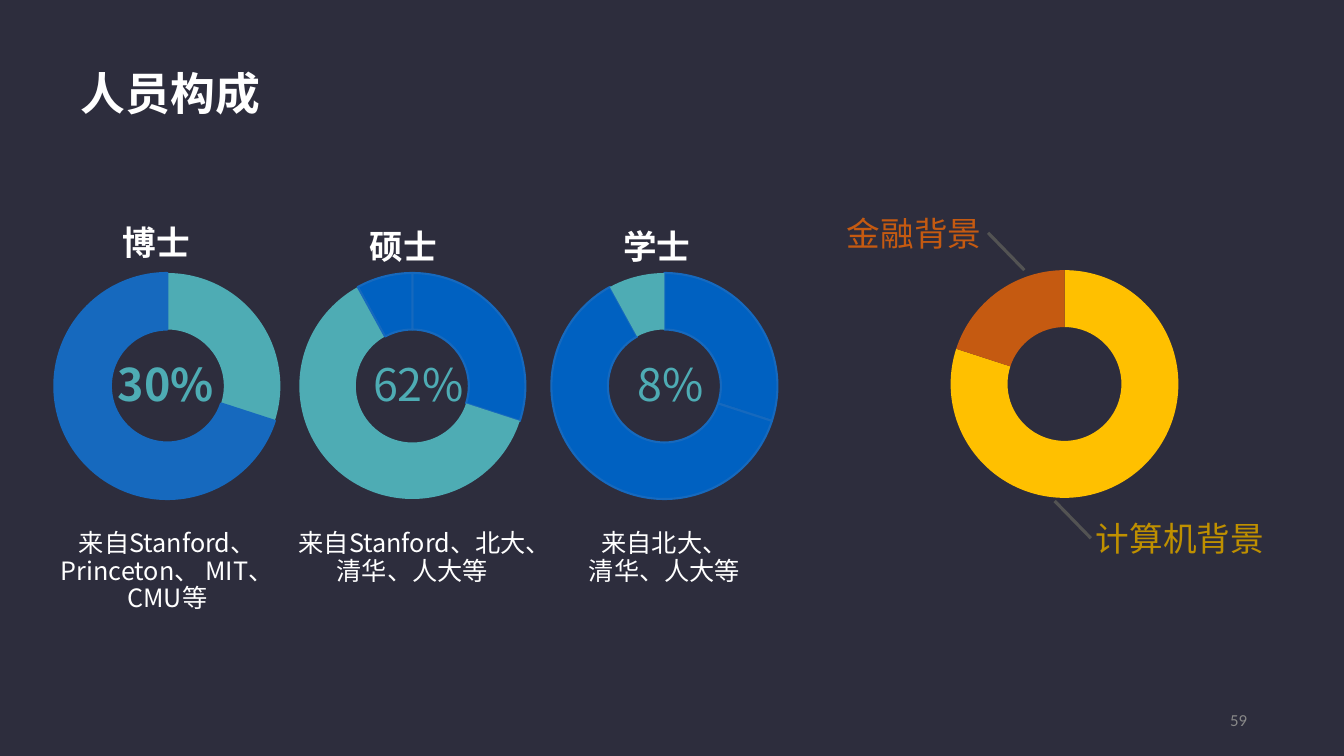
"""Build the staff make-up slide with four doughnut charts."""
from dataclasses import dataclass

from lxml.etree import SubElement
from pptx import Presentation
from pptx.chart.data import CategoryChartData
from pptx.dml.color import RGBColor
from pptx.enum.chart import XL_CHART_TYPE as Kind
from pptx.enum.shapes import MSO_CONNECTOR as Link
from pptx.enum.text import MSO_ANCHOR as Anchor, MSO_AUTO_SIZE as Auto, PP_ALIGN as Align
from pptx.oxml import parse_xml
from pptx.oxml.ns import nsdecls, qn
from pptx.util import Inches, Pt

SANS = "Noto Sans CJK SC"
WHITE, TEAL, BLUE, EDGE = "FFFFFF", "4EACB4", "0061C1", "1669BE"
GOLD, RUST, GREY = "FFC000", "C55A11", "535353"


@dataclass
class Label:
    """A piece of text with its place and look."""
    text: str
    box: tuple[float, float, float, float]
    size: float
    hue: str = WHITE
    bold: bool = False
    align: Align = Align.LEFT
    wrap: bool = False
    lead: float = 1.0
    face: str = SANS
    anchor: Anchor = Anchor.TOP


@dataclass
class Ring:
    """A doughnut chart; edge names the hue whose slices are outlined."""
    box: tuple[float, float, float, float]
    vals: tuple[int, ...]
    hues: tuple[str, ...]
    hole: int
    edge: str = ""


@dataclass
class Degree:
    """One degree group: its ring, heading, share and schools."""
    left: float
    hues: tuple[str, str, str]
    edge: str
    head: Label
    share: Label
    note: str


def note(text: str, left: float, high: float) -> Label:
    """Return a caption that sits under a ring."""
    return Label(text, (left, 5.22, 2.4, high), 18, align=Align.CENTER,
                 wrap=True, lead=0.9)


TITLE = Label("人员构成", (0.75, 0.6, 1.9, 0.64), 32, bold=True)
DEGREES = [
    Degree(0.03, (TEAL, EDGE, EDGE), EDGE,
           Label("博士", (1.17, 2.15, 0.77, 0.5), 24, bold=True),
           Label("30%", (1.12, 3.49, 1.09, 0.64), 32, TEAL, True),
           note("来自Stanford、Princeton、 MIT、CMU等", 0.46, 0.92)),
    Degree(2.46, (BLUE, TEAL, BLUE), BLUE,
           Label("硕士", (3.62, 2.19, 0.77, 0.5), 24, bold=True),
           Label("62%", (3.65, 3.49, 1.09, 0.64), 32, TEAL),
           note("来自Stanford、北大、清华、人大等", 2.89, 0.65)),
    Degree(4.96, (BLUE, BLUE, TEAL), BLUE,
           Label("学士", (6.13, 2.19, 0.77, 0.5), 24, bold=True),
           Label("8%", (6.27, 3.49, 0.82, 0.64), 32, TEAL),
           note("来自北大、\n清华、人大等", 5.39, 1)),
]
FIELD = Ring((8.92, 2.54, 3.28, 2.54), (80, 0, 0, 20), (GOLD, GOLD, GOLD, RUST), 38)
EXTRAS = [
    Label("计算机背景", (10.82, 5.09, 1.94, 0.5), 24, "BF9000", wrap=True),
    Label("金融背景", (8.35, 2.06, 1.45, 0.5), 24, RUST),
    Label("59", (12.13, 7, 0.29, 0.29), 12, "888888", align=Align.RIGHT,
          face="Calibri", anchor=Anchor.MIDDLE),
]
LEADS = [(10.82, 5.34, 10.46, 4.97), (10.16, 2.68, 9.8, 2.31)]


def rgb(hue: str) -> RGBColor:
    """Turn a hex string into a colour."""
    return RGBColor.from_string(hue)


def fill_text(shape, label: Label) -> None:
    """Place a text shape and write its label."""
    shape.left, shape.top, shape.width, shape.height = map(Inches, label.box)
    frame = shape.text_frame
    frame.text = label.text
    frame.word_wrap = label.wrap
    frame.auto_size = Auto.SHAPE_TO_FIT_TEXT
    frame.vertical_anchor = label.anchor
    frame.margin_left = frame.margin_right = Inches(0.05)
    frame.margin_top = frame.margin_bottom = Inches(0.05)
    for para in frame.paragraphs:
        para.alignment = label.align
        para.line_spacing = label.lead
        font = para.font
        font.size, font.bold, font.name = Pt(label.size), label.bold, label.face
        font.color.rgb = rgb(label.hue)
        props = para._p.pPr.find(qn("a:defRPr"))
        SubElement(props, qn("a:ea")).set("typeface", label.face)


def add_label(slide, label: Label) -> None:
    """Add a text box for a label."""
    fill_text(slide.shapes.add_textbox(*map(Inches, label.box)), label)


def add_ring(slide, ring: Ring) -> None:
    """Add a doughnut chart with coloured slices and a clear ground."""
    data = CategoryChartData()
    data.categories = [str(i + 1) for i in range(len(ring.vals))]
    data.add_series("Series 1", ring.vals)
    chart = slide.shapes.add_chart(Kind.DOUGHNUT, *map(Inches, ring.box), data).chart
    chart.has_legend = chart.has_title = False
    chart.font.size, chart.font.name = Pt(10), "Arial"
    chart.font.color.rgb = rgb("005493")
    plot = chart.plots[0]
    plot.vary_by_categories = True
    plot.has_data_labels = False
    for i, hue in enumerate(ring.hues):
        part = plot.series[0].points[i].format
        part.fill.solid()
        part.fill.fore_color.rgb = rgb(hue)
        if hue == ring.edge:
            part.line.color.rgb = rgb(EDGE)
            part.line.width = Pt(1.5)
        else:
            part.line.fill.background()
    root = chart._chartSpace
    root.find(".//" + qn("c:holeSize")).set("val", str(ring.hole))
    clear = f'<c:spPr {nsdecls("c", "a")}><a:noFill/><a:ln><a:noFill/></a:ln></c:spPr>'
    root.find(qn("c:chart")).addnext(parse_xml(clear))
    area = root.find(".//" + qn("c:plotArea"))
    for old in area.findall(qn("c:layout")):
        area.remove(old)
    wide = 0.89 * ring.box[3] / ring.box[2]
    spots = {"x": (1 - wide) / 2, "y": 0.055, "w": wide, "h": 0.89}
    rules = '<c:layoutTarget val="inner"/><c:xMode val="edge"/><c:yMode val="edge"/>'
    rules += "".join(f'<c:{key} val="{val:.3f}"/>' for key, val in spots.items())
    area.insert(0, parse_xml(f'<c:layout {nsdecls("c")}><c:manualLayout>{rules}'
                             '</c:manualLayout></c:layout>'))


def add_lead(slide, ends: tuple[float, float, float, float]) -> None:
    """Add a plain line from a label to its slice."""
    line = slide.shapes.add_connector(Link.STRAIGHT, *map(Inches, ends))
    line.line.color.rgb = rgb(GREY)
    line.line.width = Pt(2.25)
    SubElement(line._element.spPr, qn("a:effectLst"))


def main() -> None:
    """Draw the slide and save it."""
    deck = Presentation()
    deck.slide_width, deck.slide_height = Inches(13.33), Inches(7.5)
    slide = deck.slides.add_slide(deck.slide_layouts[5])
    slide.background.fill.solid()
    slide.background.fill.fore_color.rgb = rgb("2D2D3D")
    fill_text(slide.shapes.title, TITLE)
    for item in DEGREES:
        box = (item.left, 2.57, 3.26, 2.52)
        add_ring(slide, Ring(box, (30, 62, 8), item.hues, 60, item.edge))
    add_ring(slide, FIELD)
    for item in DEGREES:
        for label in (item.head, item.share, item.note):
            add_label(slide, label)
    for label in EXTRAS:
        add_label(slide, label)
    for ends in LEADS:
        add_lead(slide, ends)
    deck.save("out.pptx")


if __name__ == "__main__":
    main()
